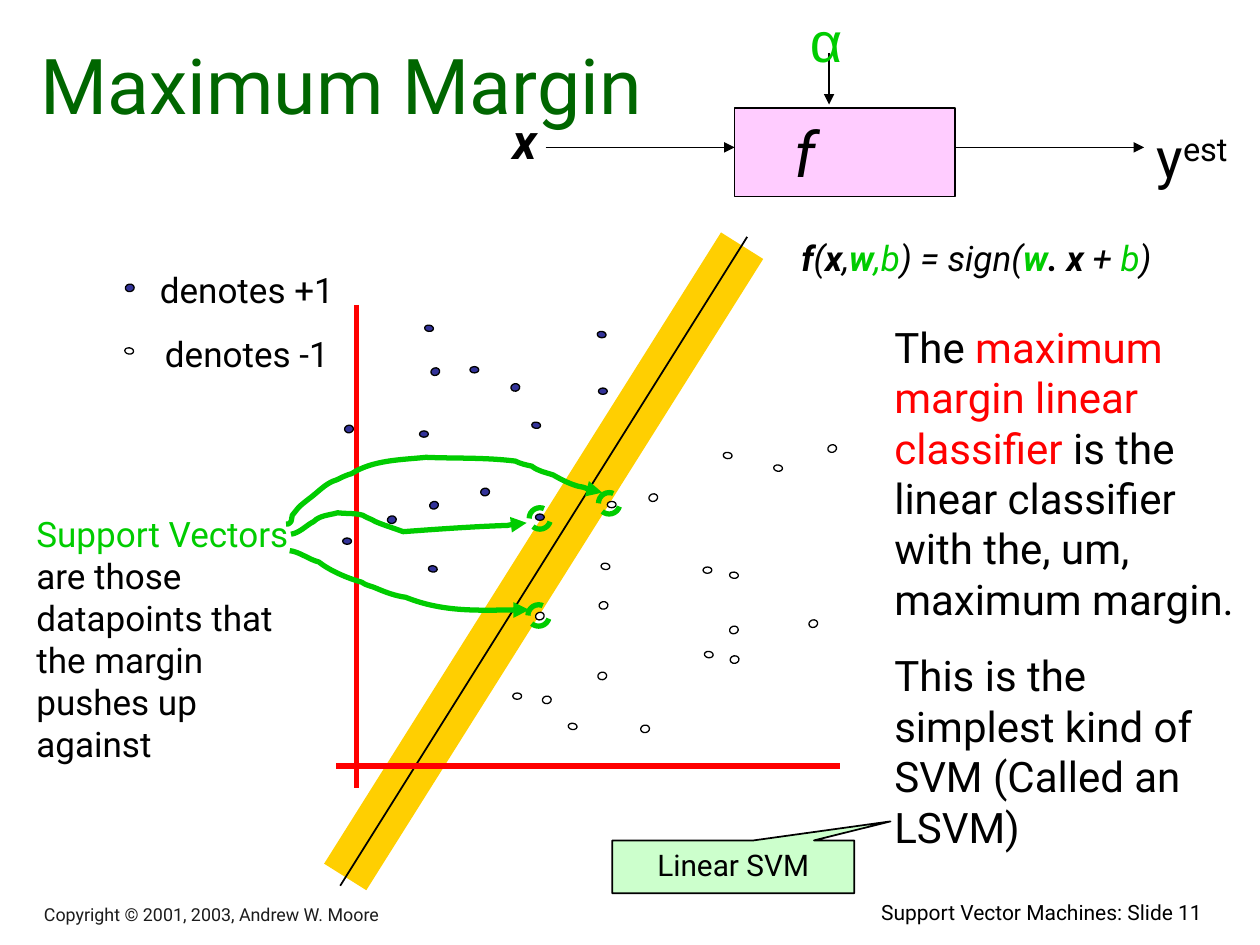
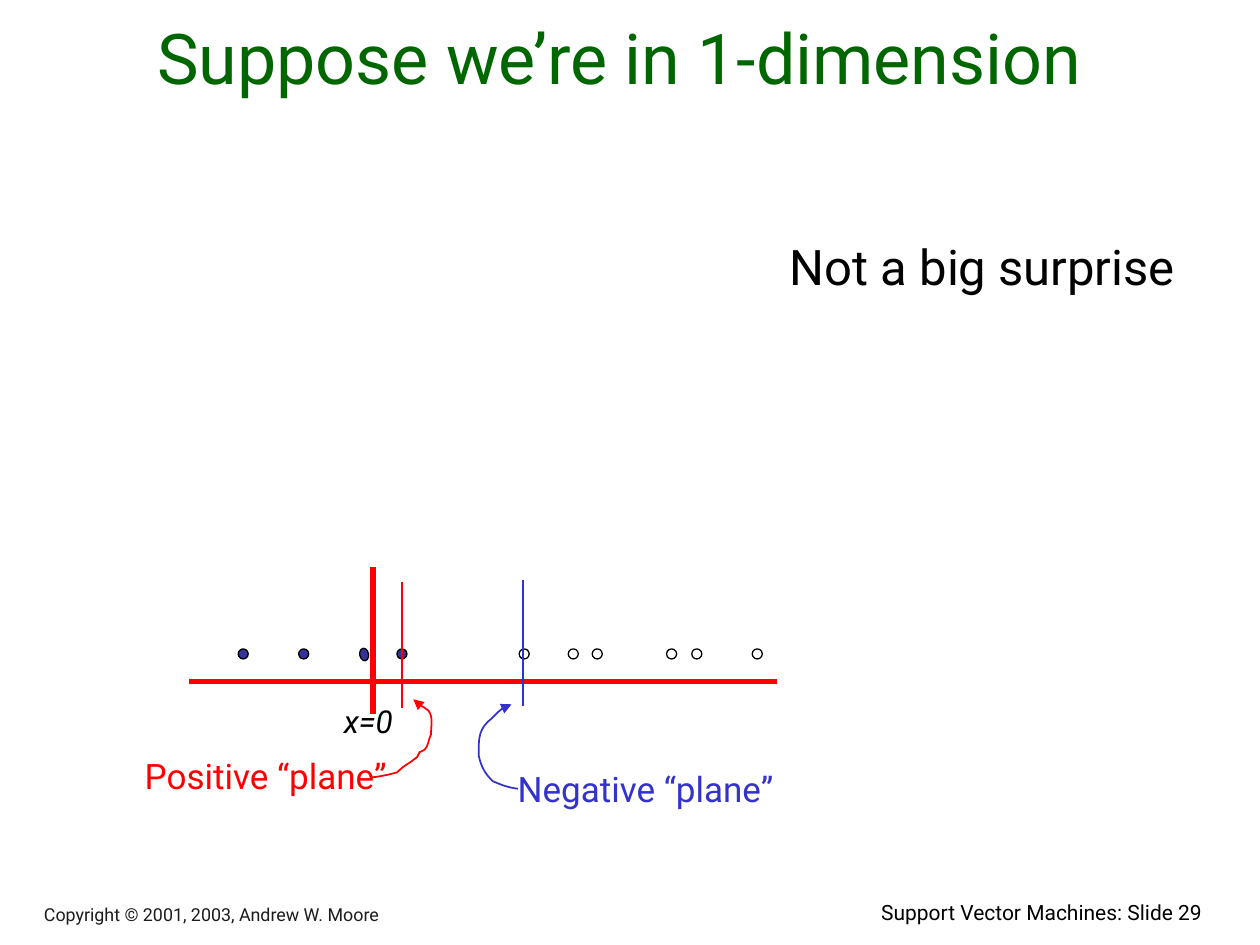
from dataclasses import dataclass
from typing import NamedTuple

from lxml.etree import SubElement
from pptx import Presentation
from pptx.dml.color import RGBColor
from pptx.enum.dml import MSO_LINE
from pptx.enum.shapes import MSO_CONNECTOR, MSO_SHAPE
from pptx.enum.text import MSO_ANCHOR, PP_ALIGN
from pptx.oxml.ns import qn
from pptx.util import Emu, Pt

PX = 9144
BLACK, WHITE, RED = "000000", "FFFFFF", "FF0000"
GREEN, TITLE, NAVY, BLUE = "00CC00", "006600", "333399", "3333CC"
GOLD, PINK, MINT, GRAY = "FFCF01", "FFCCFF", "CCFFCC", "1C1C1C"
LEFT, CENTER, RIGHT = PP_ALIGN.LEFT, PP_ALIGN.CENTER, PP_ALIGN.RIGHT
TOP, MIDDLE, BOTTOM = MSO_ANCHOR.TOP, MSO_ANCHOR.MIDDLE, MSO_ANCHOR.BOTTOM


class Box(NamedTuple):
    x: int
    y: int
    w: int
    h: int


@dataclass
class Run:
    text: str
    color: str | None = None
    bold: bool = False
    raised: bool = False


@dataclass
class Line:
    start: tuple[int, int]
    end: tuple[int, int]
    color: str = BLACK
    width: float = 1
    arrow: bool = False


@dataclass
class Curve:
    start: tuple[int, int]
    bends: list[tuple[int, ...]]
    color: str
    width: float


@dataclass
class Dots:
    w: int
    h: int
    rot: float
    positive: list[tuple[int, int]]
    negative: list[tuple[int, int]]


PLANE_DOTS = [
    Dots(7, 5, 0,
         [(272, 427), (475, 308), (373, 291), (425, 408), (333, 342)],
         [(407, 550), (482, 398), (558, 450)]),
    Dots(7, 6, 341.4,
         [(342, 292), (341, 398)],
         [(425, 486), (657, 353), (579, 497), (515, 392), (642, 492)]),
    Dots(5, 7, 98.2,
         [(423, 334), (341, 448), (475, 262), (338, 257)],
         [(100, 275), (452, 573), (580, 453), (478, 446), (615, 368),
          (575, 358), (560, 516)]),
    Dots(6, 7, 79.6,
         [(100, 225), (382, 387), (308, 409), (406, 304), (274, 337)],
         [(509, 575), (475, 533), (476, 477), (431, 552), (580, 520)]),
]
AXIS_DOTS = [
    Dots(8, 8, 0, [(189, 515), (237, 515), (315, 515)],
         [(412, 515), (451, 515), (470, 515), (529, 515), (549, 515), (597, 515)]),
    Dots(10, 7, 79.6, [(284, 516)], []),
]
SUPPORT_CURVES = [
    Curve((231, 424), [
        (238, 423, 243, 417, 249, 414), (254, 409, 261, 409, 268, 407),
        (277, 408, 281, 407, 288, 409), (291, 411, 295, 412, 298, 414),
        (305, 417, 312, 419, 320, 422), (347, 420, 375, 418, 403, 417),
        (408, 416, 413, 415, 418, 415)], GREEN, 3),
    Curve((227, 416), [
        (228, 416, 230, 416, 230, 415), (232, 414, 231, 411, 232, 409),
        (233, 407, 235, 406, 236, 404), (238, 401, 248, 394, 249, 393),
        (255, 388, 260, 383, 267, 381), (271, 379, 275, 377, 279, 376),
        (296, 365, 319, 365, 338, 363), (362, 364, 385, 363, 409, 366),
        (413, 368, 417, 369, 422, 370), (427, 374, 433, 375, 439, 377),
        (446, 381, 452, 384, 459, 386), (465, 387, 472, 391, 478, 391)], GREEN, 3),
    Curve((230, 437), [
        (238, 438, 245, 444, 253, 446), (262, 453, 276, 459, 287, 462),
        (291, 465, 295, 465, 299, 467), (306, 470, 314, 473, 322, 474),
        (352, 486, 388, 484, 420, 484)], GREEN, 3),
]
PLANE_CURVES = [
    Curve((295, 617), [
        (303, 616, 308, 615, 315, 613), (322, 607, 318, 610, 327, 604),
        (328, 603, 331, 601, 331, 601), (332, 600, 332, 598, 333, 597),
        (334, 596, 336, 596, 337, 595), (340, 592, 340, 587, 342, 583),
        (342, 577, 344, 569, 340, 564), (338, 562, 332, 559, 332, 559),
        (329, 555, 331, 555, 328, 555)], RED, 1),
    Curve((411, 626), [
        (403, 625, 398, 623, 391, 620), (385, 614, 382, 609, 380, 600),
        (380, 589, 379, 581, 387, 573), (391, 570, 397, 562, 403, 560),
        (404, 560, 406, 559, 406, 559)], BLUE, 1),
]


def px(n: int) -> Emu:
    return Emu(n * PX)


def rgb(color: str) -> RGBColor:
    return RGBColor.from_string(color)


def write(tf, text, *, size: float, color: str = BLACK, font: str = "Roboto",
          italic: bool = False, align=LEFT, anchor=TOP, before: float = 0) -> None:
    tf.word_wrap = True
    tf.vertical_anchor = anchor
    paragraphs = [[Run(text)]] if isinstance(text, str) else text
    for i, runs in enumerate(paragraphs):
        p = tf.add_paragraph() if i else tf.paragraphs[0]
        p.alignment = align
        if i:
            p.space_before = Pt(before)
        for run in runs:
            r = p.add_run()
            r.text = run.text
            r.font.name = font
            r.font.size = Pt(size)
            r.font.bold = run.bold
            r.font.italic = italic
            r.font.color.rgb = rgb(run.color or color)
            if run.raised:
                r.font._element.set("baseline", "30000")


def add_text(s, box: Box, text, **fmt) -> None:
    write(s.shapes.add_textbox(*map(px, box)).text_frame, text, **fmt)


def add_arrowhead(line) -> None:
    SubElement(line._get_or_add_ln(), qn("a:tailEnd"), type="triangle")


def add_line(s, line: Line) -> None:
    c = s.shapes.add_connector(MSO_CONNECTOR.STRAIGHT, *map(px, line.start + line.end))
    c.line.color.rgb = rgb(line.color)
    c.line.width = Pt(line.width)
    if line.arrow:
        add_arrowhead(c.line)
    SubElement(c._element.spPr, qn("a:effectLst"))


def add_curve(s, curve: Curve) -> None:
    points = [bend[i:i + 2] for bend in curve.bends for i in (0, 2, 4)]
    builder = s.shapes.build_freeform(*curve.start, scale=PX)
    builder.add_line_segments(points, close=False)
    sp = builder.convert_to_shape()
    path = sp._element.find(".//" + qn("a:path"))
    segments = path.findall(qn("a:lnTo"))
    for i in range(0, len(segments), 3):
        bezier = SubElement(path, qn("a:cubicBezTo"))
        for segment in segments[i:i + 3]:
            bezier.append(segment[0])
            path.remove(segment)
    sp.shadow.inherit = False
    sp.fill.background()
    sp.line.color.rgb = rgb(curve.color)
    sp.line.width = Pt(curve.width)
    add_arrowhead(sp.line)


def add_shape(s, kind, box: Box, fill: str | None, line: str = BLACK,
              width: float = 1):
    sp = s.shapes.add_shape(kind, *map(px, box))
    sp.shadow.inherit = False
    if fill:
        sp.fill.solid()
        sp.fill.fore_color.rgb = rgb(fill)
    else:
        sp.fill.background()
    sp.line.color.rgb = rgb(line)
    sp.line.width = Pt(width)
    return sp


def add_dots(s, groups: list[Dots]) -> None:
    for group in groups:
        for fill, places in ((NAVY, group.positive), (WHITE, group.negative)):
            for x, y in places:
                sp = add_shape(s, MSO_SHAPE.OVAL, Box(x, y, group.w, group.h),
                               fill, width=0.75)
                sp.rotation = group.rot


def add_slide(prs, number: int):
    s = prs.slides.add_slide(prs.slide_layouts[6])
    add_text(s, Box(572, 709, 392, 33), f"Support Vector Machines: Slide {number}",
             size=12, align=RIGHT)
    add_text(s, Box(25, 711, 555, 28), "Copyright © 2001, 2003, Andrew W. Moore",
             size=10.2, color=GRAY, anchor=BOTTOM)
    return s


def add_title(s, box: Box, text: str, size: float) -> None:
    add_text(s, box, text, size=size, color=TITLE, align=CENTER, anchor=BOTTOM)


def add_classifier_diagram(s) -> None:
    sp = add_shape(s, MSO_SHAPE.RECTANGLE, Box(583, 86, 175, 70), PINK)
    write(sp.text_frame, "f", size=36, italic=True, align=CENTER, anchor=MIDDLE)
    sp.text_frame.margin_right = px(73)
    for start, end in (((433, 117), (583, 117)), ((658, 42), (658, 83)),
                       ((758, 117), (908, 117))):
        add_line(s, Line(start, end, arrow=True))
    add_text(s, Box(383, 83, 67, 57), [[Run("x", bold=True)]], size=28,
             italic=True, align=CENTER)
    add_text(s, Box(633, 0, 42, 64), "α", size=32, color=GREEN, font="Arial",
             align=CENTER)
    add_text(s, Box(908, 92, 92, 64), [[Run("y"), Run("est", raised=True)]], size=32)
    formula = [Run("f", bold=True), Run("("), Run("x", bold=True), Run(","),
               Run("w", GREEN, True), Run(",b", GREEN), Run(") = sign("),
               Run("w", GREEN, True), Run(". x ", bold=True), Run("+ "),
               Run("b", GREEN), Run(")")]
    add_text(s, Box(600, 183, 350, 44), [formula], size=20, italic=True, align=CENTER)


def build_maximum_margin(prs) -> None:
    s = add_slide(prs, 11)
    add_line(s, Line((274, 696), (589, 195), GOLD, 28.5))
    add_line(s, Line((270, 703), (593, 188)))
    add_title(s, Box(17, 33, 508, 75), "Maximum Margin", 44)
    add_classifier_diagram(s)
    add_text(s, Box(92, 208, 208, 94), [[Run("denotes +1")], [Run("denotes -1")]],
             size=20, align=CENTER, before=12.5)
    add_line(s, Line((283, 242), (283, 625), RED, 3))
    add_line(s, Line((267, 608), (667, 608), RED, 3))
    add_dots(s, PLANE_DOTS)
    add_text(s, Box(700, 250, 300, 471), [
        [Run("The "), Run("maximum margin linear classifier", RED),
         Run(" is the linear classifier with the, um, maximum margin.")],
        [Run("This is the simplest kind of SVM (Called an LSVM)")]],
        size=24, before=15)
    add_text(s, Box(19, 402, 232, 210), [
        [Run("Support Vectors ", GREEN),
         Run("are those datapoints that the margin pushes up against")]], size=20)
    for curve in SUPPORT_CURVES:
        add_curve(s, curve)
    for x, y in ((475, 391), (420, 403), (419, 480)):
        ring = add_shape(s, MSO_SHAPE.OVAL, Box(x, y, 17, 17), None, GREEN, 3)
        ring.line.dash_style = MSO_LINE.DASH
    callout = add_shape(s, MSO_SHAPE.RECTANGULAR_CALLOUT, Box(486, 667, 192, 42), MINT)
    callout.adjustments[0] = 0.65
    callout.adjustments[1] = -0.86
    write(callout.text_frame, "Linear SVM", size=17, align=CENTER)


def build_one_dimension(prs) -> None:
    s = add_slide(prs, 29)
    add_title(s, Box(25, 8, 933, 75), "Suppose we’re in 1-dimension", 40)
    add_line(s, Line((296, 450), (296, 567), RED, 3))
    add_line(s, Line((150, 541), (617, 541), RED, 3))
    add_dots(s, AXIS_DOTS)
    add_text(s, Box(617, 183, 325, 104), "Not a big surprise", size=28)
    add_line(s, Line((319, 562), (319, 462), RED))
    add_line(s, Line((415, 560), (415, 460), BLUE))
    add_text(s, Box(105, 594, 244, 44), "Positive “plane”", size=20, color=RED)
    add_text(s, Box(401, 604, 244, 44), "Negative “plane”", size=20, color=BLUE)
    for curve in PLANE_CURVES:
        add_curve(s, curve)
    add_text(s, Box(263, 552, 99, 40), "x=0", size=18, italic=True)


def main() -> None:
    prs = Presentation()
    prs.slide_width, prs.slide_height = px(1000), px(750)
    build_maximum_margin(prs)
    build_one_dimension(prs)
    prs.save("out.pptx")


if __name__ == "__main__":
    main()
